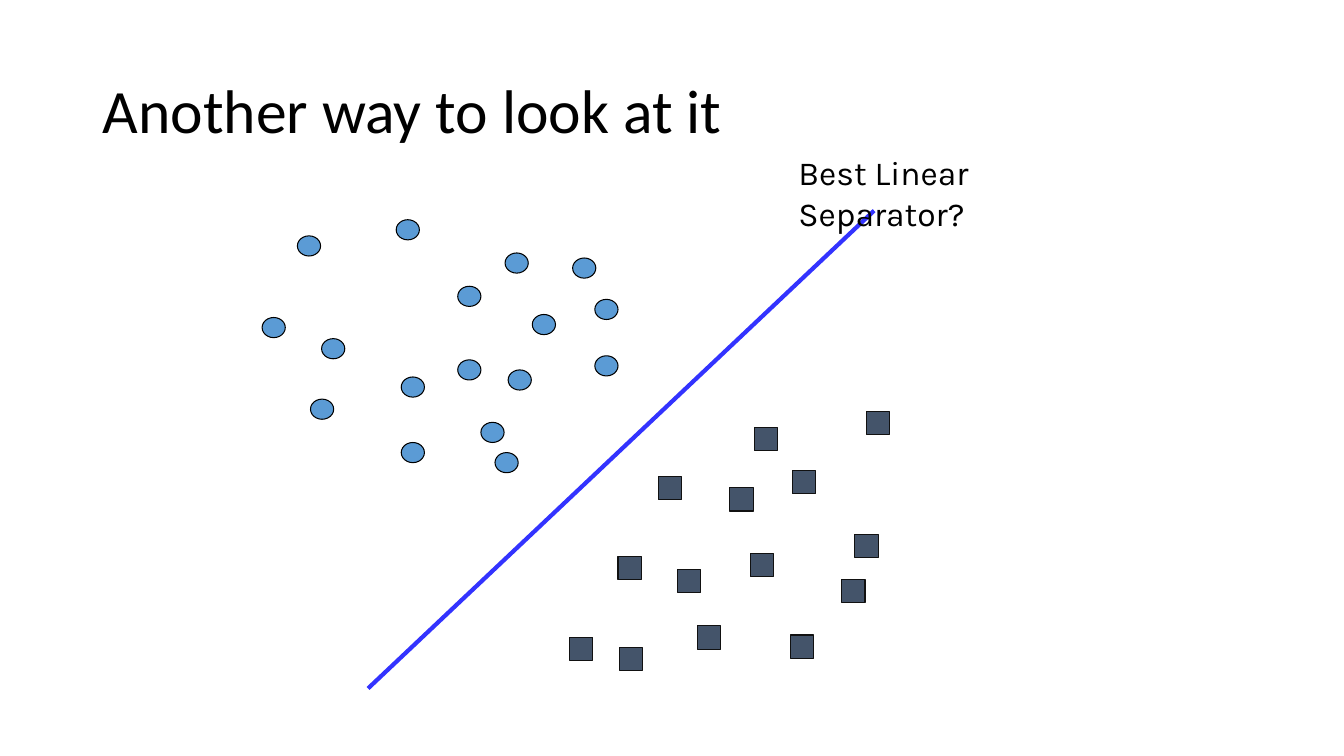
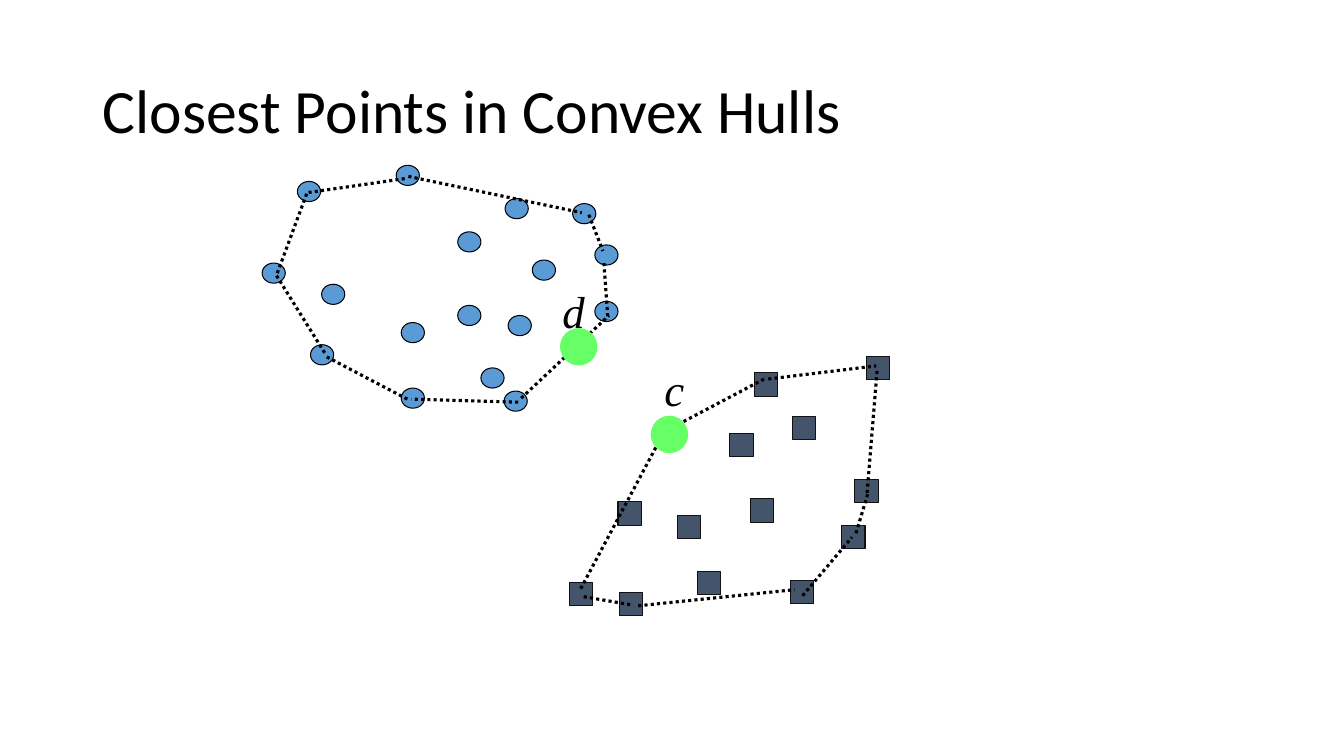
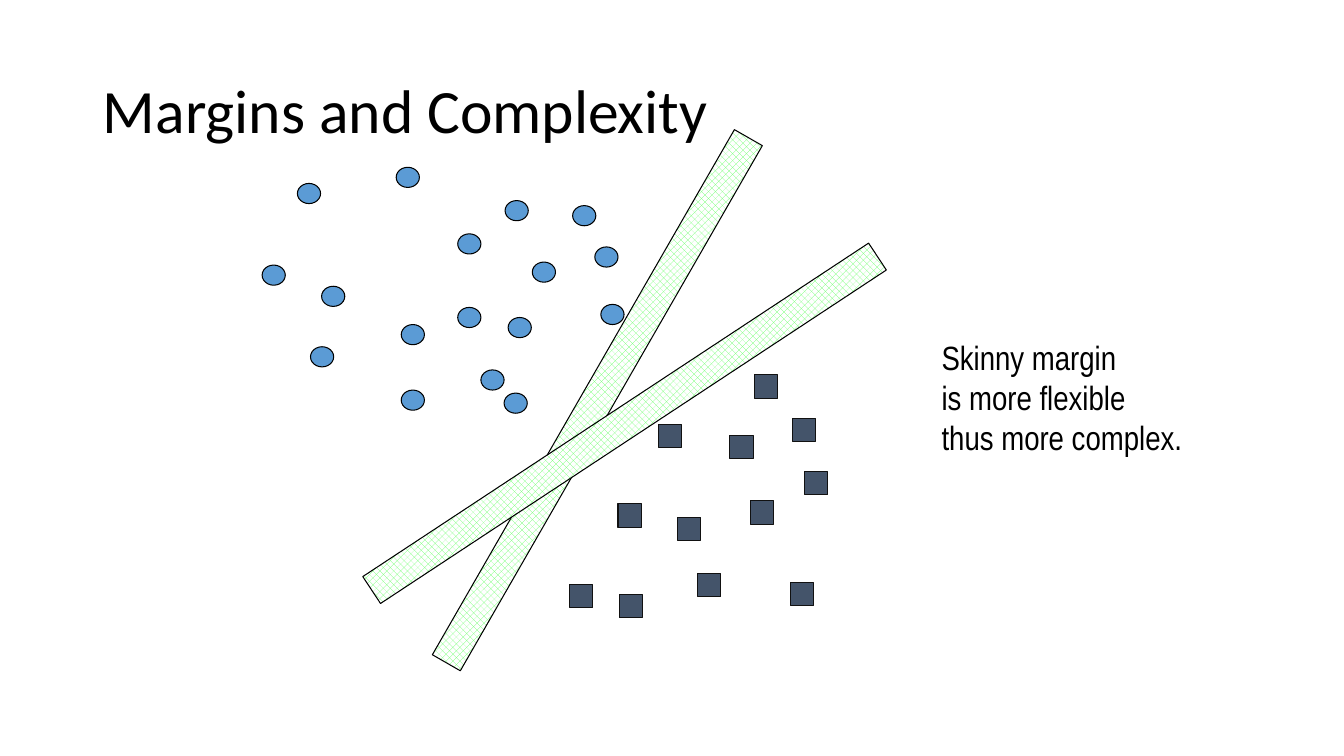
"""Build three slides on linear separators, convex hulls and margins."""
from dataclasses import dataclass

from pptx import Presentation
from pptx.dml.color import RGBColor
from pptx.enum.dml import MSO_LINE, MSO_PATTERN
from pptx.enum.shapes import MSO_CONNECTOR, MSO_SHAPE
from pptx.enum.text import MSO_ANCHOR, PP_ALIGN
from pptx.oxml.xmlchemy import OxmlElement
from pptx.util import Inches, Pt

OVAL, RECT = MSO_SHAPE.OVAL, MSO_SHAPE.RECTANGLE
STRAIGHT = MSO_CONNECTOR.STRAIGHT
DOTTED = MSO_LINE.ROUND_DOT
PERCENT_50 = MSO_PATTERN.PERCENT_50
LEFT, MIDDLE = PP_ALIGN.LEFT, MSO_ANCHOR.MIDDLE
TITLE_ONLY = 5

COLORS = {
    "black": "000000",
    "white": "FFFFFF",
    "dot": "5B9BD5",
    "square": "44546A",
    "square_edge": "111111",
    "separator": "3333FF",
    "green": "66FF66",
}

TITLE_FONT = {"name": "Calibri", "size": Pt(44)}
QUESTION_FONT = {"name": "Karla", "size": Pt(24)}
SYMBOL_FONT = {"name": "Times New Roman", "size": Pt(32), "italic": True}
NOTE_FONT = {"name": "Arial Narrow", "size": Pt(24)}


@dataclass(frozen=True)
class Marker:
    shape: int
    width: float
    height: float
    fill: str
    edge: str
    weight: float


@dataclass(frozen=True)
class Label:
    text: str
    box: tuple
    font: dict


@dataclass(frozen=True)
class MarginBar:
    left: float
    top: float
    rotation: float


DOT = Marker(OVAL, 0.23, 0.2, "dot", "black", 0.75)
SQUARE = Marker(RECT, 0.23, 0.23, "square", "square_edge", 0.75)
CLOSEST = Marker(OVAL, 0.34, 0.34, "green", "green", 2.25)

DOTS = [
    (2.95, 2.34), (2.6, 3.15), (3.19, 3.36), (5.28, 3.12), (4.54, 2.84),
    (3.08, 3.96), (5.9, 2.97), (5.04, 3.67), (3.98, 3.74), (3.98, 4.39),
    (5.01, 2.51), (5.68, 2.56), (4.54, 3.57), (4.77, 4.19), (3.93, 2.18),
]
RIGHT_DOT = (5.9, 3.53)
LOW_DOT = (5, 4.42)
SQUARES = [
    (6.53, 4.73), (7.86, 4.67), (6.13, 5.52), (6.14, 6.42), (5.65, 6.32),
    (6.92, 6.21), (7.84, 6.3), (7.44, 5.49), (7.48, 4.24), (7.24, 4.84),
    (6.72, 5.65),
]
FAR_SQUARES = [(8.35, 5.75), (8.48, 5.3), (8.59, 4.08)]

HULL_EDGES = [
    (5.17, 3.95, 6.04, 3.13), (4.04, 3.96, 3.22, 3.53),
    (5.14, 3.99, 4.08, 3.96), (3.22, 3.5, 2.74, 2.73),
    (2.75, 2.71, 3.05, 1.9), (3.06, 1.91, 4.03, 1.77),
    (4.05, 1.75, 5.77, 2.11), (5.84, 2.13, 5.98, 2.49),
    (5.99, 2.61, 6.03, 3.17), (5.76, 5.84, 6.6, 4.26),
    (6.67, 4.24, 7.58, 3.76), (6.33, 6.01, 7.88, 5.85),
    (5.79, 5.92, 6.26, 6), (7.96, 5.91, 8.45, 5.33),
    (8.49, 5.29, 8.61, 4.89), (7.62, 3.76, 8.69, 3.63),
    (8.6, 4.89, 8.7, 3.67),
]
CLOSEST_POINTS = [(5.57, 3.27), (6.47, 4.14)]
MARGIN_BARS = [MarginBar(2.92, 3.81, 299.9), MarginBar(3.19, 4.04, 326.6)]

QUESTION = Label("Best Linear Separator?", (7.82, 1.46, 3.5, 0.5), QUESTION_FONT)
SYMBOLS = [
    Label("c", (6.49, 3.54, 0.4, 0.63), SYMBOL_FONT),
    Label("d", (5.48, 2.77, 0.42, 0.63), SYMBOL_FONT),
]
NOTE = Label("Skinny margin\nis more flexible\nthus more complex.",
             (9.24, 3.29, 3.14, 1.31), NOTE_FONT)


def rgb(name: str) -> RGBColor:
    return RGBColor.from_string(COLORS[name])


def write(tf, text: str, font: dict) -> None:
    tf.text = text
    tf.word_wrap = True
    for p in tf.paragraphs:
        p.alignment = LEFT
        for name, value in font.items():
            setattr(p.runs[0].font, name, value)
        p.runs[0].font.color.rgb = rgb("black")


def add_slide(prs, title: str):
    s = prs.slides.add_slide(prs.slide_layouts[TITLE_ONLY])
    sp = s.shapes.title
    place = {"left": 0.92, "top": 0.4, "width": 11.5, "height": 1.45}
    for name, value in place.items():
        setattr(sp, name, Inches(value))
    tf = sp.text_frame
    write(tf, title, TITLE_FONT)
    tf.vertical_anchor = MIDDLE
    tf.paragraphs[0].line_spacing = 0.9
    return s


def add_label(s, label: Label) -> None:
    sp = s.shapes.add_textbox(*map(Inches, label.box))
    write(sp.text_frame, label.text, label.font)


def add_markers(s, marker: Marker, points: list, shift: float = 0) -> None:
    for x, y in points:
        sp = s.shapes.add_shape(marker.shape, Inches(x), Inches(y + shift),
                                Inches(marker.width), Inches(marker.height))
        sp.shadow.inherit = False
        sp.fill.solid()
        sp.fill.fore_color.rgb = rgb(marker.fill)
        sp.line.color.rgb = rgb(marker.edge)
        sp.line.width = Pt(marker.weight)


def add_classes(s, dots: list, squares: list, shift: float = 0) -> None:
    add_markers(s, DOT, DOTS + dots, shift)
    add_markers(s, SQUARE, SQUARES + squares, shift)


def add_line(s, ends: tuple, color: str, weight: float, dash=None) -> None:
    sp = s.shapes.add_connector(STRAIGHT, *map(Inches, ends))
    sp.line.color.rgb = rgb(color)
    sp.line.width = Pt(weight)
    if dash:
        sp.line.dash_style = dash
    sp._element.spPr.append(OxmlElement("a:effectLst"))


def add_margin_bar(s, bar: MarginBar) -> None:
    sp = s.shapes.add_shape(RECT, Inches(bar.left), Inches(bar.top),
                            Inches(6.01), Inches(0.32))
    sp.rotation = bar.rotation
    sp.shadow.inherit = False
    sp.fill.patterned()
    sp.fill.pattern = PERCENT_50
    sp.fill.fore_color.rgb = rgb("green")
    sp.fill.back_color.rgb = rgb("white")
    sp.line.color.rgb = rgb("black")
    sp.line.width = Pt(0.75)


def build_separator(prs) -> None:
    s = add_slide(prs, "Another way to look at it")
    add_classes(s, [RIGHT_DOT, (4.91, 4.49)], FAR_SQUARES)
    add_line(s, (3.65, 6.83, 8.67, 2.09), "separator", 3)
    add_label(s, QUESTION)


def build_hulls(prs) -> None:
    s = add_slide(prs, "Closest Points in Convex Hulls")
    add_classes(s, [RIGHT_DOT, LOW_DOT], FAR_SQUARES, -0.54)
    for edge in HULL_EDGES:
        add_line(s, edge, "black", 2.25, DOTTED)
    add_markers(s, CLOSEST, CLOSEST_POINTS)
    for symbol in SYMBOLS:
        add_label(s, symbol)


def build_margins(prs) -> None:
    s = add_slide(prs, "Margins and Complexity")
    add_classes(s, [(5.96, 3.54), LOW_DOT], [(7.98, 5.2)], -0.52)
    add_label(s, NOTE)
    for bar in MARGIN_BARS:
        add_margin_bar(s, bar)


def main() -> None:
    prs = Presentation()
    prs.slide_width, prs.slide_height = Inches(13.33), Inches(7.5)
    for build in (build_separator, build_hulls, build_margins):
        build(prs)
    prs.save("out.pptx")


if __name__ == "__main__":
    main()
